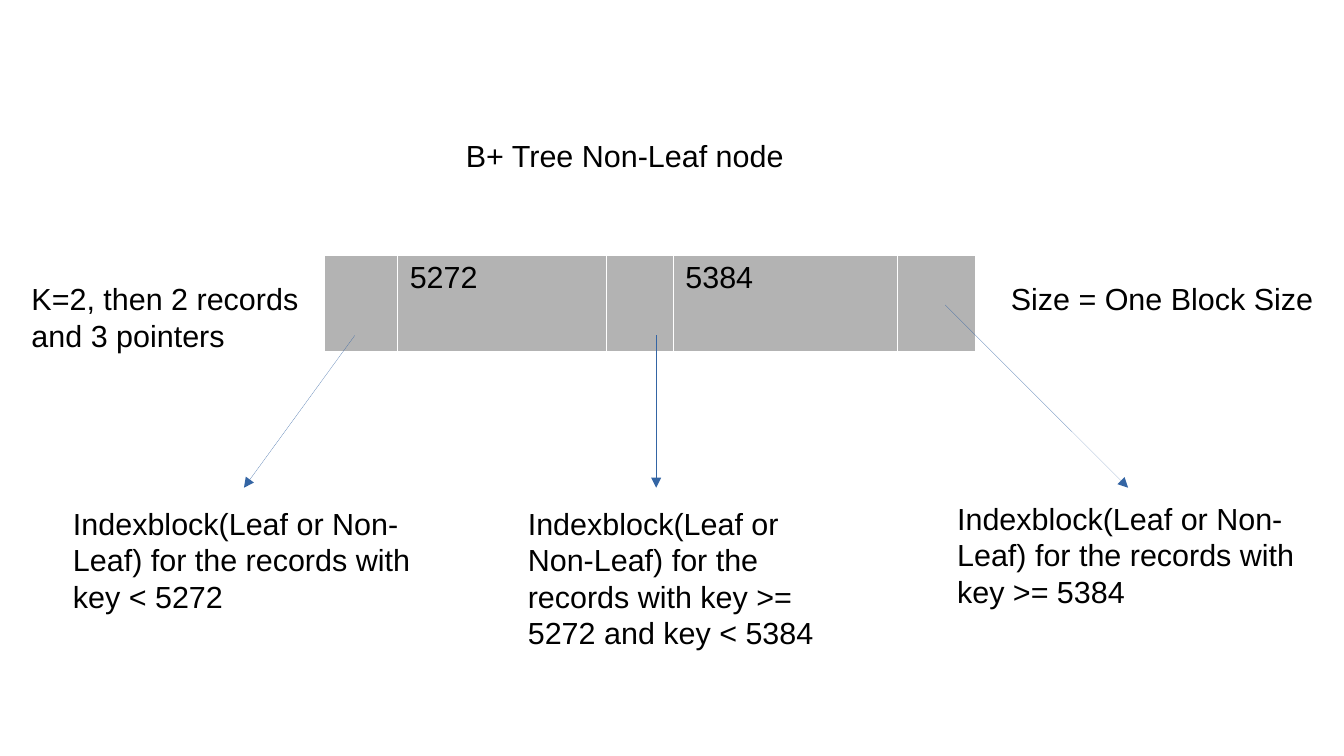
from lxml import etree
from pptx import Presentation
from pptx.dml.color import RGBColor
from pptx.enum.shapes import MSO_CONNECTOR
from pptx.enum.text import MSO_ANCHOR, MSO_AUTO_SIZE, PP_ALIGN
from pptx.oxml.ns import qn
from pptx.util import Pt

PX = 9144  # EMU per px, 100 px to the inch
STRAIGHT = MSO_CONNECTOR.STRAIGHT
TOP = MSO_ANCHOR.TOP
LEFT = PP_ALIGN.LEFT
NO_FIT = MSO_AUTO_SIZE.NONE

BLACK = RGBColor(0x00, 0x00, 0x00)
GREY = RGBColor(0xB3, 0xB3, 0xB3)
BLUE = RGBColor(0x34, 0x65, 0xA4)
BORDER_HEX = "FFFFFF"
BORDER_WIDTH = Pt(0.06)

FONT_FORMAT = {"name": "Arial", "size": Pt(18), "bold": False}
FRAME_FORMAT = {
    "word_wrap": True, "auto_size": NO_FIT, "vertical_anchor": TOP,
    "margin_left": 10 * PX, "margin_right": 10 * PX,
    "margin_top": 5 * PX, "margin_bottom": 5 * PX,
}

NODE_FIELDS = [(60, ""), (171, "5272"), (55, ""), (184, "5384"), (64, "")]
NODE_LEFT, NODE_TOP, NODE_HEIGHT = 266, 209, 79

LABELS = [
    ("K=2, then 2 records and 3 pointers", (16, 225, 275, 65)),
    ("Size = One Block Size", (819, 225, 275, 37)),
    ("Indexblock(Leaf or Non-Leaf) for the records with key < 5272",
     (50, 409, 325, 93)),
    ("Indexblock(Leaf or Non-Leaf) for the records with key >= 5272 and key < 5384",
     (423, 409, 277, 121)),
    ("Indexblock(Leaf or Non-Leaf) for the records with key >= 5384",
     (775, 405, 300, 119)),
]
POINTERS = [(291, 275, 200, 400), (538, 275, 538, 400), (775, 250, 925, 400)]


def scaled(lengths):
    return [length * PX for length in lengths]


def apply_format(target, values):
    for attribute, value in values.items():
        setattr(target, attribute, value)


def write_text(frame, text):
    paragraph = frame.paragraphs[0]
    paragraph.alignment = LEFT
    run = paragraph.add_run()
    run.text = text
    apply_format(run.font, FONT_FORMAT)
    run.font.color.rgb = BLACK


def add_title(slide, text, box):
    title = slide.shapes.title
    places = dict(zip(("left", "top", "width", "height"), scaled(box)))
    apply_format(title, places)
    apply_format(title.text_frame, FRAME_FORMAT)
    write_text(title.text_frame, text)
    title.text_frame.paragraphs[0].line_spacing = 1.0


def add_label(slide, text, box):
    label = slide.shapes.add_textbox(*scaled(box))
    apply_format(label.text_frame, FRAME_FORMAT)
    write_text(label.text_frame, text)


def add_borders(cell):
    properties = cell._tc.get_or_add_tcPr()
    for side in ("a:lnL", "a:lnR", "a:lnT", "a:lnB"):
        border = etree.SubElement(properties, qn(side), w=str(BORDER_WIDTH))
        fill = etree.SubElement(border, qn("a:solidFill"))
        etree.SubElement(fill, qn("a:srgbClr"), val=BORDER_HEX)


def add_node(slide):
    width = sum(field_width for field_width, _ in NODE_FIELDS)
    box = scaled((NODE_LEFT, NODE_TOP, width, NODE_HEIGHT))
    node = slide.shapes.add_table(1, len(NODE_FIELDS), *box).table
    node.first_row = node.horz_banding = False
    for index, (field_width, key) in enumerate(NODE_FIELDS):
        node.columns[index].width = field_width * PX
        field = node.cell(0, index)
        add_borders(field)
        field.fill.solid()
        field.fill.fore_color.rgb = GREY
        if key:
            write_text(field.text_frame, key)


def add_pointer(slide, ends):
    pointer = slide.shapes.add_connector(STRAIGHT, *scaled(ends))
    pointer.line.color.rgb = BLUE
    # Without the theme style the line keeps its default hairline width
    pointer._element.remove(pointer._element.find(qn("p:style")))
    etree.SubElement(pointer.line._get_or_add_ln(), qn("a:tailEnd"), type="triangle")
    etree.SubElement(pointer._element.spPr, qn("a:effectLst"))


def main():
    presentation = Presentation()
    presentation.slide_width, presentation.slide_height = scaled((1102, 620))
    slide = presentation.slides.add_slide(presentation.slide_layouts[5])

    # Node with its keys and pointer fields
    add_title(slide, "B+ Tree Non-Leaf node", (372, 107, 325, 37))
    add_node(slide)

    # Pointers to the index blocks
    for ends in POINTERS:
        add_pointer(slide, ends)

    # Notes beside the node and index blocks below it
    for text, box in LABELS:
        add_label(slide, text, box)

    presentation.save("out.pptx")


if __name__ == "__main__":
    main()
